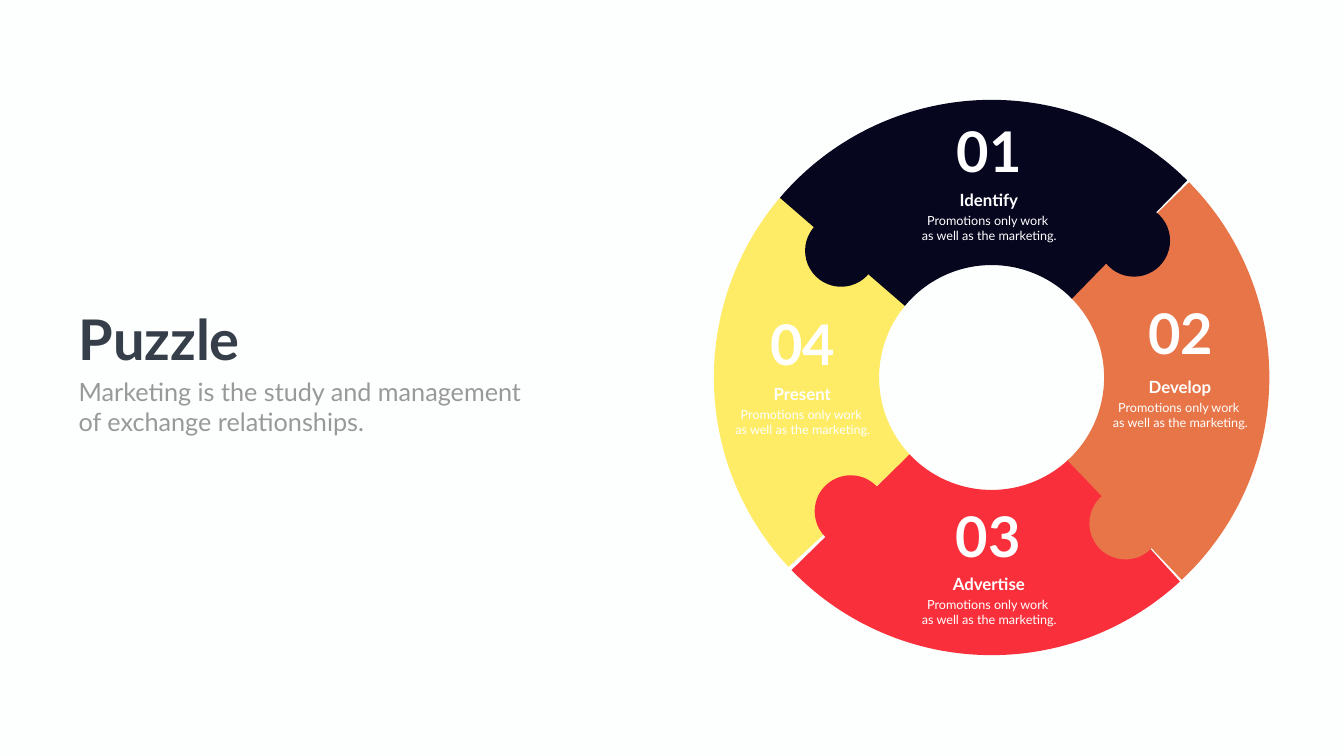
from math import cos, radians, sin, tan

from lxml import etree
from pptx import Presentation
from pptx.dml.color import RGBColor
from pptx.enum.shapes import MSO_SHAPE as Preset
from pptx.enum.text import MSO_AUTO_SIZE as AutoSize, PP_ALIGN as Align
from pptx.oxml.ns import qn
from pptx.util import Inches, Pt

# Content
FONT = "Lato"
WHITE = "FFFFFF"
TITLE = "Puzzle"
SUBTITLE = ["Marketing is the study and management", "of exchange relationships."]
DETAIL = ["Promotions only work ", "as well as the marketing."]

NAVY, ORANGE, RED, YELLOW = "07061F", "E77547", "F9303B", "FEEC67"

# Number, its left and top; heading, its left and top
LABELS = [
    ("01", 18.87, 2.27, "Identify", 18.48, 3.72),
    ("02", 22.67, 5.88, "Develop", 22.27, 7.42),
    ("03", 18.85, 9.91, "Advertise", 18.48, 11.33),
    ("04", 15.17, 6.09, "Present", 14.78, 7.56),
]

# Ring pieces from back to front: colour; start, middle and end angle
# (clockwise from the right); left and top of each knob
PIECES = [
    (YELLOW, (220.7, 180, 136.8), []),
    (RED, (136.3, 90, 47.1), [(16.16, 9.43)]),
    (ORANGE, (47, 0, -44.9), [(21.61, 9.67)]),
    (NAVY, (-45, -90, -139.9), [(15.97, 4.26), (21.78, 4.06)]),
]
CENTER_X, CENTER_Y, RADIUS = 19.67, 7.49, 3.87
BAND = 236  # ring thickness in points
KNOB = 1.43
UNITS = 1000  # drawing units to the inch


def color(value):
    return RGBColor.from_string(value)


def curve_points(start, end):
    """Two control points and the end point of one circular curve."""
    first, last = radians(start), radians(end)
    reach = RADIUS * 4 / 3 * tan((last - first) / 4)
    points = []
    for angle, pull in ((first, reach), (last, -reach), (last, 0)):
        x = CENTER_X + RADIUS * cos(angle) - pull * sin(angle)
        y = CENTER_Y + RADIUS * sin(angle) + pull * cos(angle)
        points.append((x * UNITS, y * UNITS))
    return points


def add_arc(shapes, tint, angles):
    start, middle, end = angles
    origin = curve_points(start, start)[-1]
    builder = shapes.build_freeform(*origin, scale=Inches(1) / UNITS)
    points = curve_points(start, middle) + curve_points(middle, end)
    builder.add_line_segments(points, close=False)
    arc = builder.convert_to_shape()

    # Join every three line points into one curve
    lines = list(arc.element.iter(qn("a:lnTo")))
    for index in range(0, len(lines), 3):
        curve = etree.Element(qn("a:cubicBezTo"))
        lines[index].addprevious(curve)
        for line in lines[index:index + 3]:
            curve.append(line[0])
            line.getparent().remove(line)

    arc.shadow.inherit = False
    arc.fill.background()
    arc.line.color.rgb = color(tint)
    arc.line.width = Pt(BAND)
    arc.line._get_or_add_ln().set("cap", "flat")


def add_knob(shapes, tint, left, top):
    knob = shapes.add_shape(Preset.OVAL, *map(Inches, (left, top, KNOB, KNOB)))
    knob.shadow.inherit = False
    knob.fill.solid()
    knob.fill.fore_color.rgb = color(tint)
    knob.line.fill.background()


def add_text(shapes, place, lines, size, tint, bold=False, align=Align.CENTER, wrap=True):
    box = shapes.add_textbox(*map(Inches, place))
    frame = box.text_frame
    frame.word_wrap = wrap
    frame.auto_size = AutoSize.SHAPE_TO_FIT_TEXT
    for index, line in enumerate(lines):
        para = frame.add_paragraph() if index else frame.paragraphs[0]
        para.alignment = align
        span = para.add_run()
        span.text = line
        span.font.name = FONT
        span.font.size = Pt(size)
        span.font.bold = bold
        span.font.color.rgb = color(tint)


deck = Presentation()
deck.slide_width, deck.slide_height = Inches(26.66), Inches(15)
page = deck.slides.add_slide(deck.slide_layouts[6])
page.background.fill.solid()
page.background.fill.fore_color.rgb = color("FDFFFE")

# Puzzle ring
for tint, angles, knobs in PIECES:
    add_arc(page.shapes, tint, angles)
    for left, top in knobs:
        add_knob(page.shapes, tint, left, top)

# Numbers, headings and details on the ring
for number, number_left, number_top, heading, left, top in LABELS:
    add_text(page.shapes, (number_left, number_top, 1.5, 1.45), [number], 80, WHITE,
             bold=True, wrap=False)
    group = page.shapes.add_group_shape().shapes
    add_text(group, (left, top, 2.27, 0.5), [heading], 24, WHITE, bold=True)
    add_text(group, (left - 0.87, top + 0.46, 4.03, 0.71), DETAIL, 18, WHITE)

# Title block
group = page.shapes.add_group_shape().shapes
add_text(group, (1.46, 5.99, 3.47, 1.45), [TITLE], 80, "353E49",
         bold=True, align=Align.LEFT, wrap=False)
add_text(group, (1.46, 7.41, 9.74, 1.31), SUBTITLE, 36, "989998", align=Align.LEFT)

deck.save("out.pptx")
